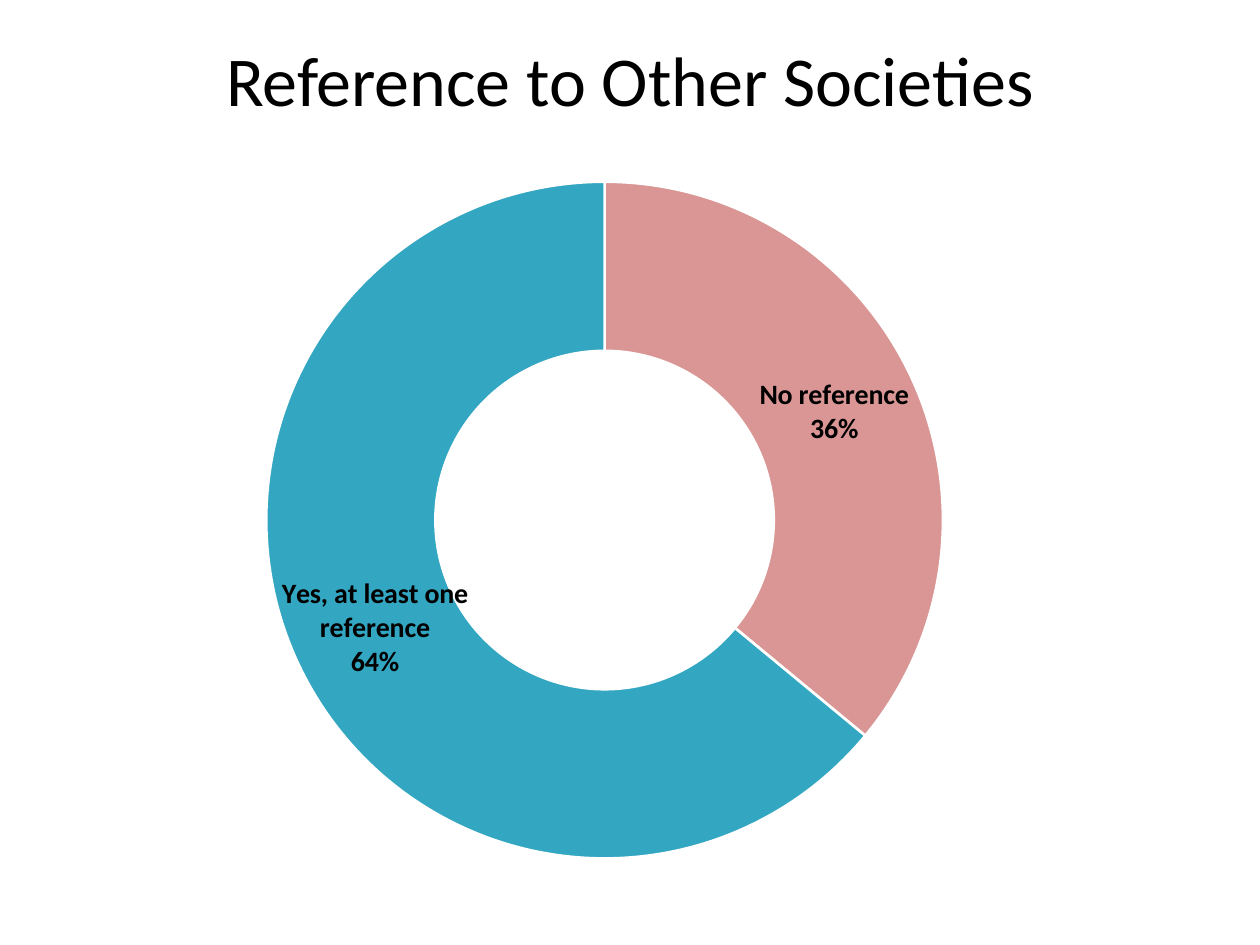
from lxml import etree
from pptx import Presentation
from pptx.chart.data import CategoryChartData
from pptx.dml.color import RGBColor
from pptx.enum.chart import XL_CHART_TYPE as ChartType
from pptx.enum.text import MSO_ANCHOR, PP_ALIGN
from pptx.oxml.ns import qn
from pptx.util import Pt

# Content
TITLE = "Reference to Other Societies"
SLICES = [
    ("No reference", 36, "D99694"),
    ("Yes, at least one reference", 64, "33A6C2"),
]
TITLE_BOX = (36, 0, 648, 90)
CHART_BOX = (118, 72, 455, 455)
PLOT_AREA = {"x": 0.07, "y": 0.07, "w": 0.86, "h": 0.85}
HOLE_PERCENT = 45


def rgb(value):
    return RGBColor.from_string(value)


def style_font(font, size, name="Calibri", bold=False, color="000000"):
    font.size, font.name, font.bold = Pt(size), name, bold
    font.color.rgb = rgb(color)


def write_text(tf, text, align=PP_ALIGN.CENTER, **fmt):
    p = tf.paragraphs[0]
    p.alignment = align
    r = p.add_run()
    r.text = text
    style_font(r.font, **fmt)


def set_plot_layout(chart, area):
    plot_area = chart.element.find(".//" + qn("c:plotArea"))
    for old in plot_area.findall(qn("c:layout")):
        plot_area.remove(old)
    layout = etree.Element(qn("c:layout"))
    manual = etree.SubElement(layout, qn("c:manualLayout"))
    settings = {"layoutTarget": "inner", "xMode": "edge", "yMode": "edge", **area}
    for tag, value in settings.items():
        etree.SubElement(manual, qn("c:" + tag)).set("val", str(value))
    plot_area.insert(0, layout)


prs = Presentation()
prs.slide_width, prs.slide_height = Pt(720), Pt(540)
s = prs.slides.add_slide(prs.slide_layouts[5])

# Title
title = s.shapes.title
title.left, title.top, title.width, title.height = map(Pt, TITLE_BOX)
tf = title.text_frame
tf.vertical_anchor = MSO_ANCHOR.MIDDLE
tf.margin_left = tf.margin_right = tf.margin_top = tf.margin_bottom = Pt(3.6)
write_text(tf, TITLE, size=40)

# Doughnut chart
names, values, colors = zip(*SLICES)
data = CategoryChartData()
data.categories = names
data.add_series("Series 1", values)
chart = s.shapes.add_chart(ChartType.DOUGHNUT, *map(Pt, CHART_BOX), data).chart
chart.has_title = chart.has_legend = False
style_font(chart.font, 10, name="Arial")
set_plot_layout(chart, PLOT_AREA)
plot = chart.plots[0]
plot.vary_by_categories = True
chart.element.find(".//" + qn("c:holeSize")).set("val", str(HOLE_PERCENT))

# Slices
series = plot.series[0]
for i, color in enumerate(colors):
    fmt = series.points[i].format
    fmt.fill.solid()
    fmt.fill.fore_color.rgb = rgb(color)
    fmt.line.color.rgb = rgb("FFFFFF")
    fmt.line.width = Pt(1.5)

# Labels: category name above percentage
labels = series.data_labels
labels.show_category_name = labels.show_percentage = True
labels.show_value = False
labels.number_format = "#,##0%"
labels.number_format_is_linked = False
style_font(labels.font, 16, bold=True)
separator = etree.Element(qn("c:separator"))
separator.text = "\n"
series.format  # keeps series properties ahead of the labels
dlbls = chart.element.find(".//" + qn("c:ser")).find(qn("c:dLbls"))
dlbls.find(qn("c:showBubbleSize")).addnext(separator)

prs.save("out.pptx")
